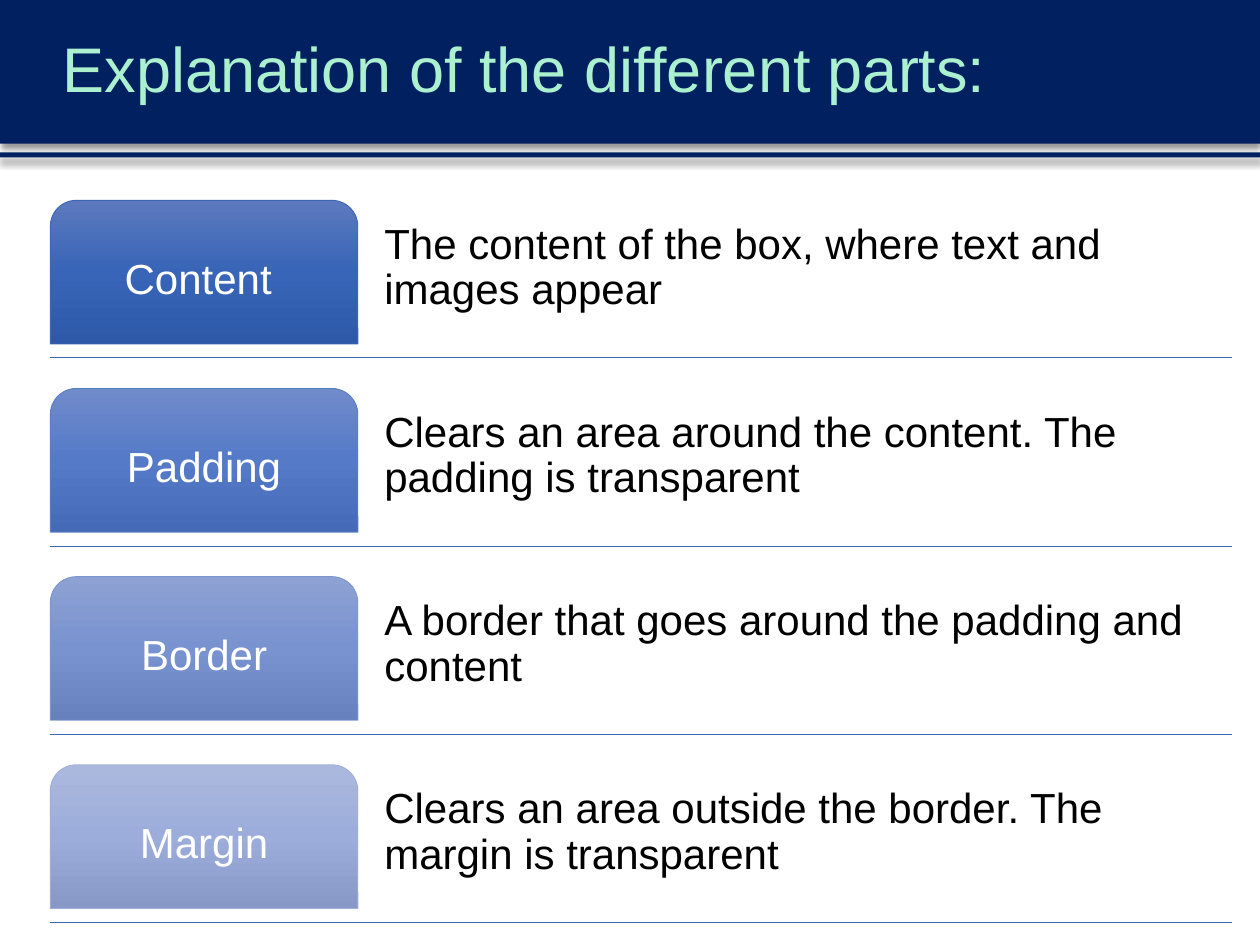
from pptx import Presentation
from pptx import util as u
from pptx.dml.color import RGBColor
from pptx.enum import shapes, text
from pptx.oxml import parse_xml
from pptx.oxml.ns import nsdecls, qn

COLORS = {"navy": "002060", "mint": "ABF1CF", "black": "000000",
          "white": "FFFFFF", "rule": "3E67B2"}
FONT = "Arial"
COLUMNS, ROWS = 100, 75

# label, explanation, gradient from top to bottom, outline
PARTS = [
    ("Content ", "The content of the box, where text and images appear",
     ("5C79BD", "3865B8", "2D59A8"), "3E67B2"),
    ("Padding", "Clears an area around the content. The padding is transparent",
     ("708BCA", "557AC8", "456AB8"), "5A7CC3"),
    ("Border", "A border that goes around the padding and content",
     ("8DA1D3", "7993D1", "6781BE"), "7D95CD"),
    ("Margin", "Clears an area outside the border. The margin is transparent",
     ("ABB8DD", "9CADDB", "8798C6"), "9FAED8"),
]
LEFT, RIGHT = 4, 97.8
TAB_WIDTH, TAB_HEIGHT, TAB_DROP = 24.4, 11.4, 1.7
TEXT_LEFT = 30
FIRST_ROW, ROW_HEIGHT = 14.2, 14.2
PITCH = (59 - FIRST_ROW) / (len(PARTS) - 1)


class SlideBuilder:
    """Draws on one slide; all lengths are grid columns and rows."""

    def __init__(self, deck):
        self.cell_width = deck.slide_width / COLUMNS
        self.cell_height = deck.slide_height / ROWS
        self.shapes = deck.slides.add_slide(deck.slide_layouts[6]).shapes

    def place(self, left, top, width, height):
        return (round(left * self.cell_width), round(top * self.cell_height),
                round(width * self.cell_width), round(height * self.cell_height))

    def set_words(self, shape, words, size, color, align, insets):
        frame = shape.text_frame
        frame.text = words
        frame.word_wrap = True
        frame.vertical_anchor = text.MSO_ANCHOR.MIDDLE
        (frame.margin_left, frame.margin_top,
         frame.margin_right, frame.margin_bottom) = map(u.Inches, insets)
        para = frame.paragraphs[0]
        para.alignment = align
        para.line_spacing = 0.9
        font = para.runs[0].font
        font.name, font.size = FONT, u.Pt(size)
        font.color.rgb = RGBColor.from_string(color)

    def band(self, top, height):
        """A full-width navy bar with a soft shadow below it."""
        bar = self.shapes.add_shape(shapes.MSO_SHAPE.RECTANGLE,
                                    *self.place(0, top, COLUMNS, height))
        bar.fill.solid()
        bar.fill.fore_color.rgb = RGBColor.from_string(COLORS["navy"])
        bar.line.fill.background()
        bar._element.spPr.append(parse_xml(
            f'<a:effectLst {nsdecls("a")}><a:outerShdw blurRad="{u.Pt(4)}" '
            f'dist="{u.Pt(3)}" dir="5400000" rotWithShape="0">'
            f'<a:srgbClr val="{COLORS["black"]}"><a:alpha val="40000"/></a:srgbClr>'
            '</a:outerShdw></a:effectLst>'))

    def textbox(self, area, words, size, color, insets):
        box = self.shapes.add_textbox(*self.place(*area))
        self.set_words(box, words, size, color, text.PP_ALIGN.LEFT, insets)

    def rule(self, top):
        start_x, y, length, _ = self.place(LEFT, top, RIGHT - LEFT, 0)
        line = self.shapes.add_connector(shapes.MSO_CONNECTOR.STRAIGHT,
                                         start_x, y, start_x + length, y)
        line.line.color.rgb = RGBColor.from_string(COLORS["rule"])
        line.line.width = u.Pt(0.5)
        line._element.spPr.append(parse_xml(f'<a:effectLst {nsdecls("a")}/>'))

    def tab(self, top, label, gradient, outline):
        """A label with rounded top corners and a vertical gradient."""
        tab = self.shapes.add_shape(shapes.MSO_SHAPE.ROUND_2_SAME_RECTANGLE,
                                    *self.place(LEFT, top, TAB_WIDTH, TAB_HEIGHT))
        tab.adjustments[0] = 0.18
        tab.shadow.inherit = False
        tab.fill.gradient()
        tab.fill.gradient_angle = 270
        stops = tab._element.spPr.find(qn("a:gradFill")).find(qn("a:gsLst"))
        stops[:] = [parse_xml(f'<a:gs {nsdecls("a")} pos="{i * 50000}">'
                              f'<a:srgbClr val="{color}"/></a:gs>')
                    for i, color in enumerate(gradient)]
        tab.line.color.rgb = RGBColor.from_string(outline)
        tab.line.width = u.Pt(0.5)
        self.set_words(tab, label, 24, COLORS["white"], text.PP_ALIGN.CENTER,
                       (0.12, 0.12, 0.12, 0.05))


def main():
    deck = Presentation()
    deck.slide_width, deck.slide_height = u.Inches(10), u.Inches(7.5)
    page = SlideBuilder(deck)

    page.band(0, 11.4)
    page.band(12.1, 0.4)
    page.textbox((LEFT, 0, COLUMNS - LEFT, 11.4), "Explanation of the different parts:",
                 36, COLORS["mint"], (0.1, 0.05, 0.1, 0.05))

    for i, (label, explanation, gradient, outline) in enumerate(PARTS):
        top = FIRST_ROW + i * PITCH
        page.rule(top + ROW_HEIGHT)
        page.textbox((TEXT_LEFT, top, RIGHT - TEXT_LEFT, ROW_HEIGHT), explanation,
                     24, COLORS["black"], (0.05,) * 4)
        page.tab(top + TAB_DROP, label, gradient, outline)

    deck.save("out.pptx")


if __name__ == "__main__":
    main()
